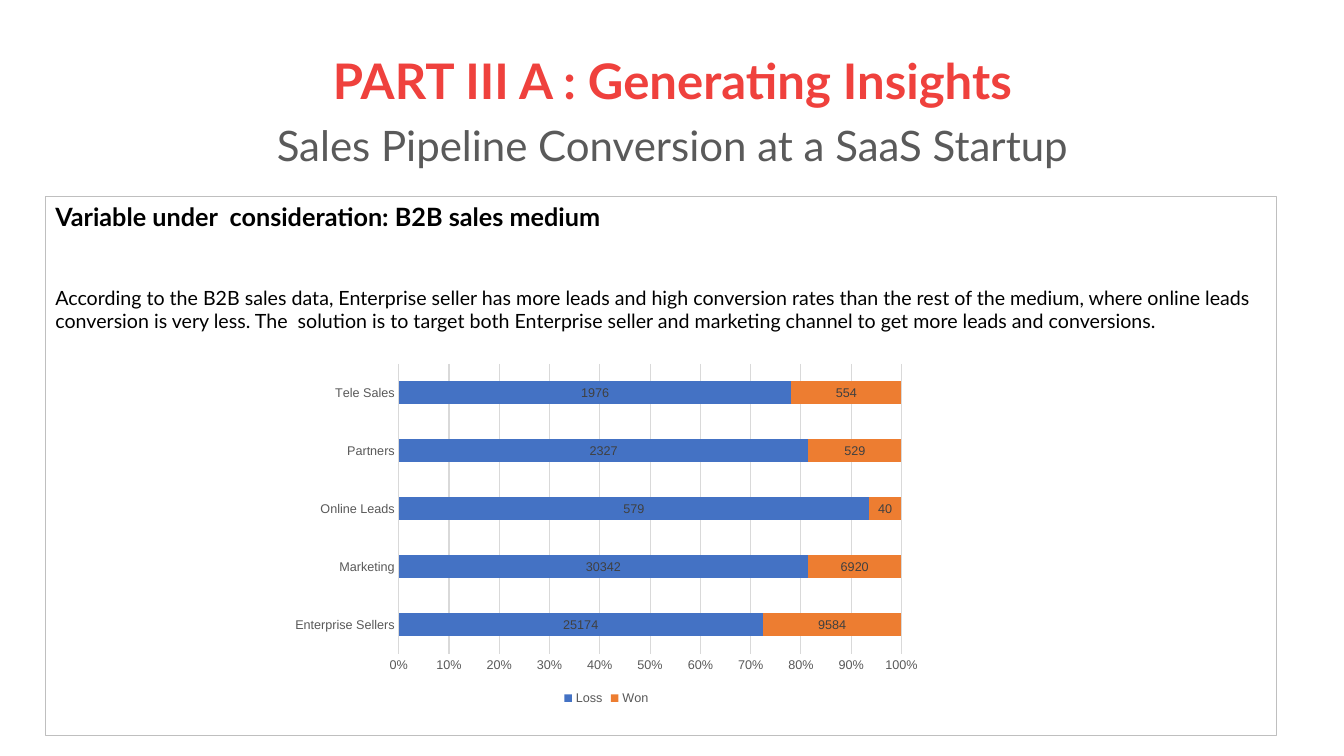
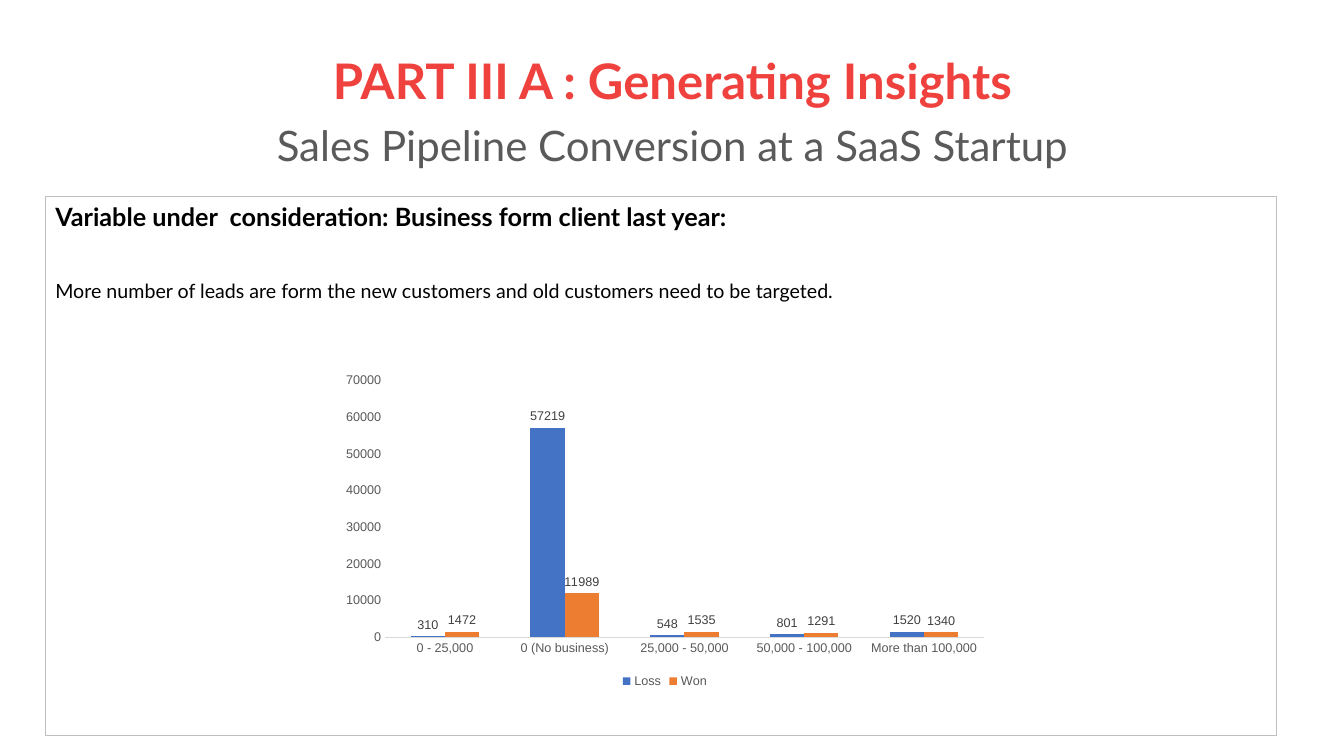
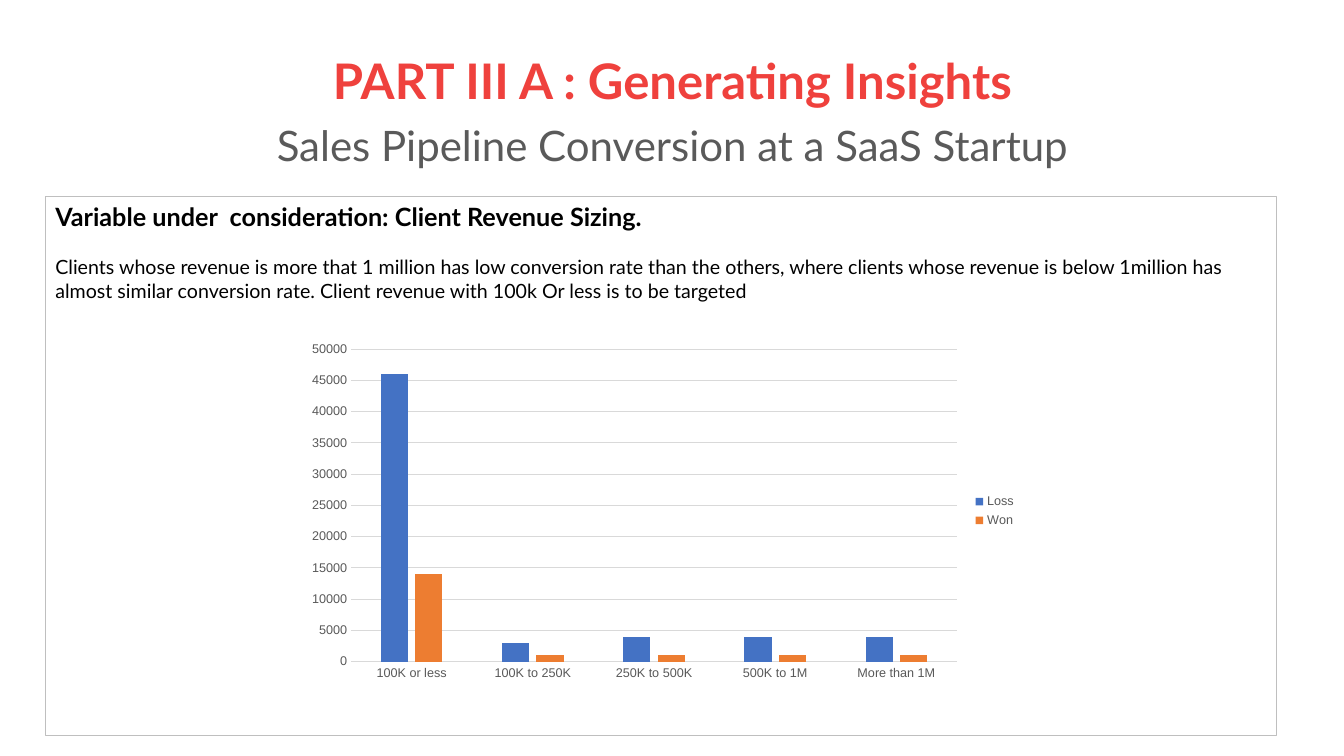
from dataclasses import dataclass

from pptx import Presentation
from pptx.chart.data import CategoryChartData as Data
from pptx.dml.color import RGBColor as RGB
from pptx.enum.chart import XL_CHART_TYPE as Kind
from pptx.enum.chart import XL_LABEL_POSITION as Spot
from pptx.enum.chart import XL_LEGEND_POSITION as Side
from pptx.enum.chart import XL_TICK_MARK as Tick
from pptx.enum.shapes import MSO_SHAPE as Shape
from pptx.enum.text import MSO_ANCHOR as Anchor
from pptx.enum.text import PP_ALIGN as Align
from pptx.util import Inches, Pt


@dataclass(frozen=True)
class Theme:
    """Colours, fonts and type sizes of the deck."""
    red: str = "EF413D"
    gray: str = "5A5A5A"
    black: str = "000000"
    edge: str = "BFBFBF"
    grid: str = "D9D9D9"
    axis: str = "595959"
    label: str = "404040"
    bars: tuple = ("4472C4", "ED7D31")
    text: str = "Lato"
    chart: str = "Arial"
    title: int = 35
    sub: int = 30
    head: int = 18
    body: int = 14
    small: int = 9
    base: int = 10
    thin: float = 0.75


T = Theme()
HEAD = (0.92, 0.4, 11.5, 1.45)
PANEL = (0.45, 1.95, 12.21, 5.35)
TITLE = "PART III A : Generating Insights"
SUB = "Sales Pipeline Conversion at a SaaS Startup"
LEAD = "Variable under  consideration: "
NAMES = ("Loss", "Won")

PAGES = [
    {
        "head": "B2B sales medium",
        "gap": 38.4,
        "note": "According to the B2B sales data, Enterprise seller has more leads "
                "and high conversion rates than the rest of the medium, where online "
                "leads conversion is very less. The  solution is to target both "
                "Enterprise seller and marketing channel to get more leads and "
                "conversions.",
        "chart": {
            "box": (2.35, 1.59, 6.43, 3.5),
            "kind": Kind.BAR_STACKED_100,
            "cats": ("Enterprise Sellers", "Marketing", "Online Leads",
                     "Partners", "Tele Sales"),
            "rows": ((25174, 30342, 579, 2327, 1976), (9584, 6920, 40, 529, 554)),
            "plot": {"gap_width": 150, "overlap": 100},
            "side": Side.BOTTOM,
            "spot": Spot.CENTER,
            "grid": True,
            "mask": "0%",
        },
    },
    {
        "head": "Business form client last year:",
        "gap": 33.6,
        "note": "More number of leads are form the new customers and old customers "
                "need to be targeted.",
        "chart": {
            "box": (2.85, 1.69, 6.59, 3.23),
            "kind": Kind.COLUMN_CLUSTERED,
            "cats": ("0 - 25,000", "0 (No business)", "25,000 - 50,000",
                     "50,000 - 100,000", "More than 100,000"),
            "rows": ((310, 57219, 548, 801, 1520), (1472, 11989, 1535, 1291, 1340)),
            "plot": {"gap_width": 150, "overlap": 0},
            "side": Side.BOTTOM,
            "spot": Spot.OUTSIDE_END,
            "grid": False,
            "mask": "General",
        },
    },
    {
        "head": "Client Revenue Sizing.",
        "gap": 16.8,
        "note": "Clients whose revenue is more that 1 million has low conversion rate "
                "than the others, where clients whose revenue is below 1million has "
                "almost similar conversion rate. Client revenue with 100k Or less is "
                "to be targeted",
        "chart": {
            "box": (2.5, 1.37, 7.23, 3.5),
            "kind": Kind.COLUMN_CLUSTERED,
            "cats": ("100K or less", "100K to 250K", "250K to 500K",
                     "500K to 1M", "More than 1M"),
            "rows": ((46000, 3000, 4000, 4000, 4000), (14000, 1000, 1000, 1000, 1000)),
            "plot": {"gap_width": 219, "overlap": -27},
            "side": Side.RIGHT,
            "spot": None,
            "grid": True,
            "mask": "General",
        },
    },
]


def put(item, vals):
    """Set each named value on the item."""
    for key, val in vals.items():
        setattr(item, key, val)


def style(font, name, size, color, bold=False):
    """Give a font its face, size, colour and weight."""
    put(font, {"name": name, "size": Pt(size), "bold": bold})
    font.color.rgb = RGB.from_string(color)


def rule(line, color):
    """Draw a thin line in the given colour."""
    line.width = Pt(T.thin)
    line.color.rgb = RGB.from_string(color)


def place(box):
    """Turn a box in inches into lengths."""
    return [Inches(val) for val in box]


def write(frame, rows, form):
    """Write rows of text, size, colour and weight as paragraphs."""
    frame.word_wrap = True
    for pos, (text, size, color, bold, gap) in enumerate(rows):
        para = frame.add_paragraph() if pos else frame.paragraphs[0]
        put(para, {**form, "space_before": Pt(gap)})
        run = para.add_run()
        run.text = text
        style(run.font, T.text, size, color, bold)


def banner(slide, box):
    """Place the two-line title."""
    frame = slide.shapes.add_textbox(*place(box)).text_frame
    frame.vertical_anchor = Anchor.MIDDLE
    write(frame, [(TITLE, T.title, T.red, True, 0),
                  (SUB, T.sub, T.gray, False, 10.8)],
          {"alignment": Align.CENTER, "line_spacing": 0.9})


def panel(slide, box, page):
    """Place the outlined panel with its text and chart."""
    frame = slide.shapes.add_shape(Shape.RECTANGLE, *place(box))
    frame.shadow.inherit = False
    frame.fill.background()
    rule(frame.line, T.edge)
    frame.text_frame.vertical_anchor = Anchor.TOP
    write(frame.text_frame,
          [(LEAD + page["head"], T.head, T.black, True, 0),
           (page["note"], T.body, T.black, False, page["gap"])],
          {"alignment": Align.LEFT})
    left, top, wide, high = page["chart"]["box"]
    graph(slide, (box[0] + left, box[1] + top, wide, high), page["chart"])


def graph(slide, box, part):
    """Place a bar chart of lost and won leads."""
    data = Data()
    data.categories = part["cats"]
    for name, vals in zip(NAMES, part["rows"]):
        data.add_series(name, vals)
    chart = slide.shapes.add_chart(part["kind"], *place(box), data).chart
    put(chart, {"has_title": False, "has_legend": True})
    style(chart.font, T.chart, T.base, T.black)
    put(chart.legend, {"position": part["side"], "include_in_layout": False})
    style(chart.legend.font, T.chart, T.small, T.axis)
    axes(chart, part)
    plot = chart.plots[0]
    put(plot, {**part["plot"], "vary_by_categories": False})
    for bar, color in zip(plot.series, T.bars):
        bar.invert_if_negative = False
        bar.format.fill.solid()
        bar.format.fill.fore_color.rgb = RGB.from_string(color)
        if part["spot"] is not None:
            tags = bar.data_labels
            put(tags, {"show_value": True, "position": part["spot"]})
            style(tags.font, T.chart, T.small, T.label)


def axes(chart, part):
    """Format both axes and the grid."""
    cat, val = chart.category_axis, chart.value_axis
    for axis in (cat, val):
        put(axis, {"major_tick_mark": Tick.NONE, "minor_tick_mark": Tick.NONE})
        style(axis.tick_labels.font, T.chart, T.small, T.axis)
    rule(cat.format.line, T.grid)
    val.format.line.fill.background()
    put(val.tick_labels, {"number_format": part["mask"],
                          "number_format_is_linked": False})
    val.has_major_gridlines = part["grid"]
    if part["grid"]:
        rule(val.major_gridlines.format.line, T.grid)


def main():
    """Build and save the deck."""
    deck = Presentation()
    put(deck, {"slide_width": Inches(13.33), "slide_height": Inches(7.5)})
    for page in PAGES:
        slide = deck.slides.add_slide(deck.slide_layouts[6])
        banner(slide, HEAD)
        panel(slide, PANEL, page)
    deck.save("out.pptx")


if __name__ == "__main__":
    main()
